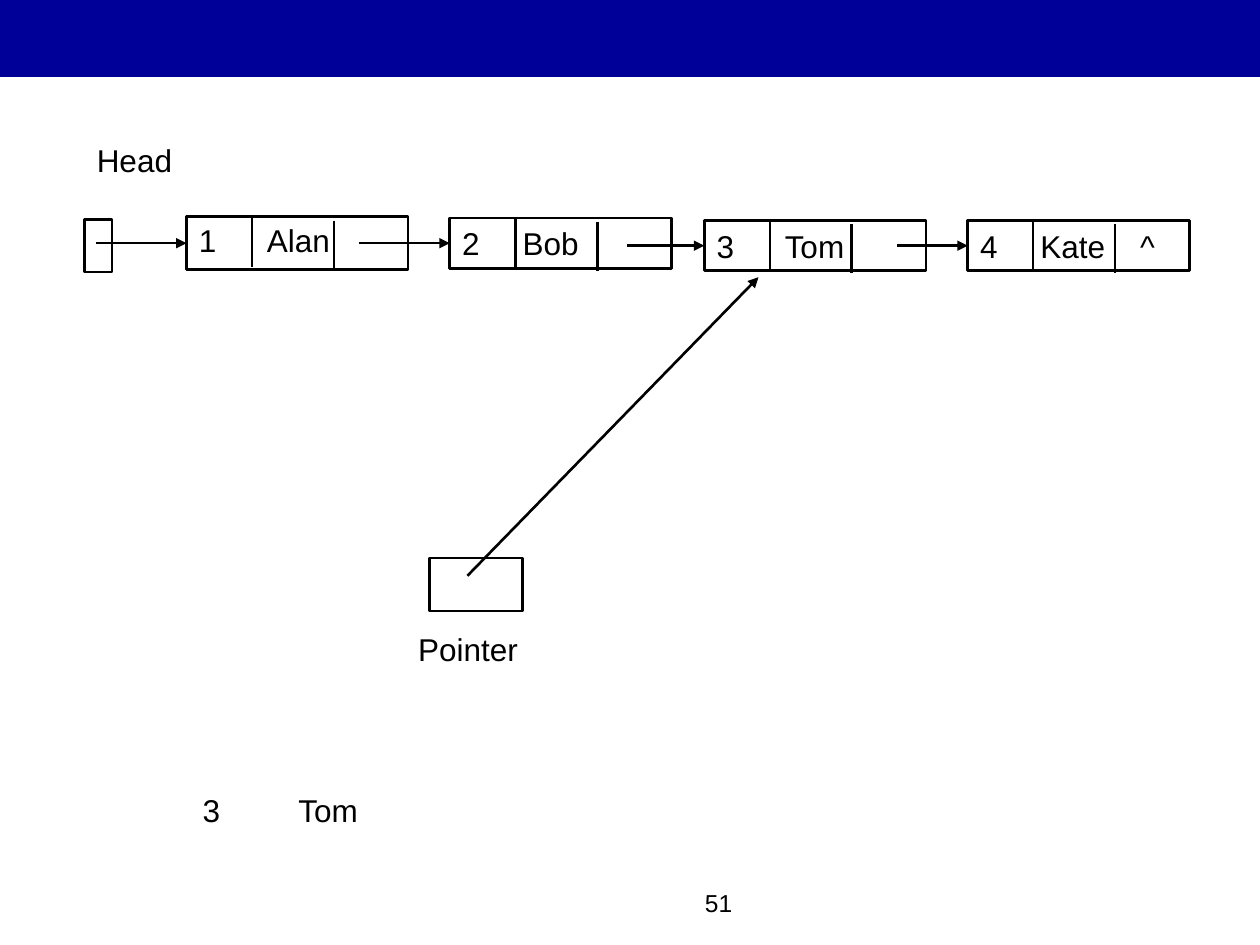
from pptx import Presentation
from pptx.dml.color import RGBColor
from pptx.enum.shapes import MSO_CONNECTOR, MSO_SHAPE
from pptx.enum.text import MSO_ANCHOR, PP_ALIGN
from pptx.oxml.ns import qn
from pptx.util import Inches, Pt
from lxml.etree import SubElement

COLORS = {"band": "000099", "ink": "000000"}
NODE_W, NODE_H = 1.76, 0.4
DIVIDERS = [(0.52, 0.01), (1.17, 0.03)]
DIVIDER_H = 0.39


def rgb(name):
    return RGBColor.from_string(COLORS[name])


def write(sp, text, size=18, align=PP_ALIGN.LEFT, tabs=(), top=0.05, wrap=True):
    tf = sp.text_frame
    tf.word_wrap = wrap
    tf.vertical_anchor = MSO_ANCHOR.TOP
    tf.margin_left = tf.margin_right = Inches(0.1)
    tf.margin_top, tf.margin_bottom = Inches(top), Inches(0.05)
    p = tf.paragraphs[0]
    p.alignment = align
    if tabs:
        stops = SubElement(p._p.get_or_add_pPr(), qn("a:tabLst"))
        for pos in tabs:
            SubElement(stops, qn("a:tab"), pos=str(Inches(pos)), algn="l")
    r = p.add_run()
    r.text = text
    r.font.name, r.font.size = "Arial", Pt(size)
    r.font.color.rgb = rgb("ink")


class Deck:
    def __init__(self, prs):
        self.slide = prs.slides.add_slide(prs.slide_layouts[6])
        self.shapes = self.slide.shapes
        self.line_width = Pt(1.5)

    def rect(self, x, y, w, h, fill=None):
        sp = self.shapes.add_shape(MSO_SHAPE.RECTANGLE, *map(Inches, (x, y, w, h)))
        sp.shadow.inherit = False
        if fill:
            sp.fill.solid()
            sp.fill.fore_color.rgb = rgb(fill)
            sp.line.fill.background()
        else:
            sp.fill.background()
            sp.line.color.rgb = rgb("ink")
            sp.line.width = self.line_width
        return sp

    def label(self, x, y, w, h, text, **fmt):
        sp = self.shapes.add_textbox(*map(Inches, (x, y, w, h)))
        write(sp, text, **fmt)

    def line(self, x1, y1, x2, y2, arrow=False):
        cxn = self.shapes.add_connector(
            MSO_CONNECTOR.STRAIGHT, *map(Inches, (x1, y1, x2, y2)))
        cxn.line.color.rgb = rgb("ink")
        cxn.line.width = self.line_width
        if arrow:
            SubElement(cxn.line._get_or_add_ln(), qn("a:tailEnd"), type="triangle")
        SubElement(cxn._element.spPr, qn("a:effectLst"))
        return cxn

    def node(self, x, y, text, tabs, link_x, h=NODE_H, top=0.05):
        sp = self.rect(x, y, NODE_W, h)
        write(sp, text, tabs=tabs, top=top)
        for dx, dy in DIVIDERS:
            self.line(x + dx, y + dy, x + dx, y + dy + DIVIDER_H)
        mid = y + h / 2
        self.line(link_x, mid, x, mid, arrow=True).end_connect(sp, 1)


def main():
    prs = Presentation()
    prs.slide_width, prs.slide_height = Inches(10), Inches(7.5)
    deck = Deck(prs)

    deck.rect(0, 0, 10, 0.61, fill="band")
    deck.label(3.83, 7, 2.08, 0.5, "51", size=14, align=PP_ALIGN.RIGHT)

    deck.label(0.67, 1.07, 0.8, 0.4, "Head", wrap=False)
    deck.rect(0.67, 1.74, 0.22, 0.42)
    deck.node(1.48, 1.72, "1\tAlan", [0.54], link_x=0.76, h=0.42, top=0.03)
    deck.node(3.57, 1.73, "2\tBob", [0.48], link_x=2.85)
    deck.node(5.59, 1.75, "3\tTom", [0.54], link_x=4.98)
    deck.node(7.68, 1.75, "4\tKate\t^", [0.48, 1.27], link_x=7.12)

    deck.rect(3.41, 4.43, 0.74, 0.42)
    deck.label(3.22, 4.95, 1.2, 0.4, "Pointer", wrap=False)
    deck.line(3.71, 4.57, 6.02, 2.2, arrow=True)

    deck.label(1.51, 6.23, 1.46, 0.4, "3\tTom", tabs=[0.76], wrap=False)

    prs.save("out.pptx")


if __name__ == "__main__":
    main()
